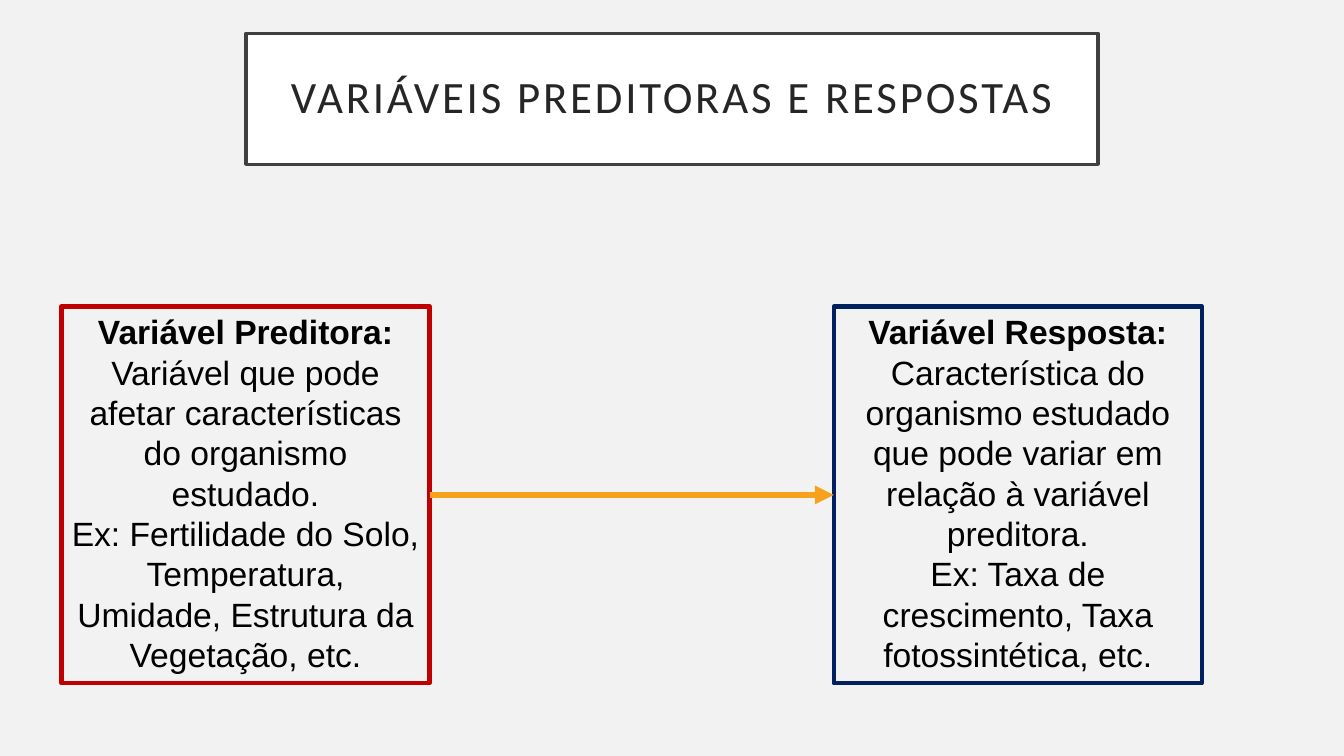
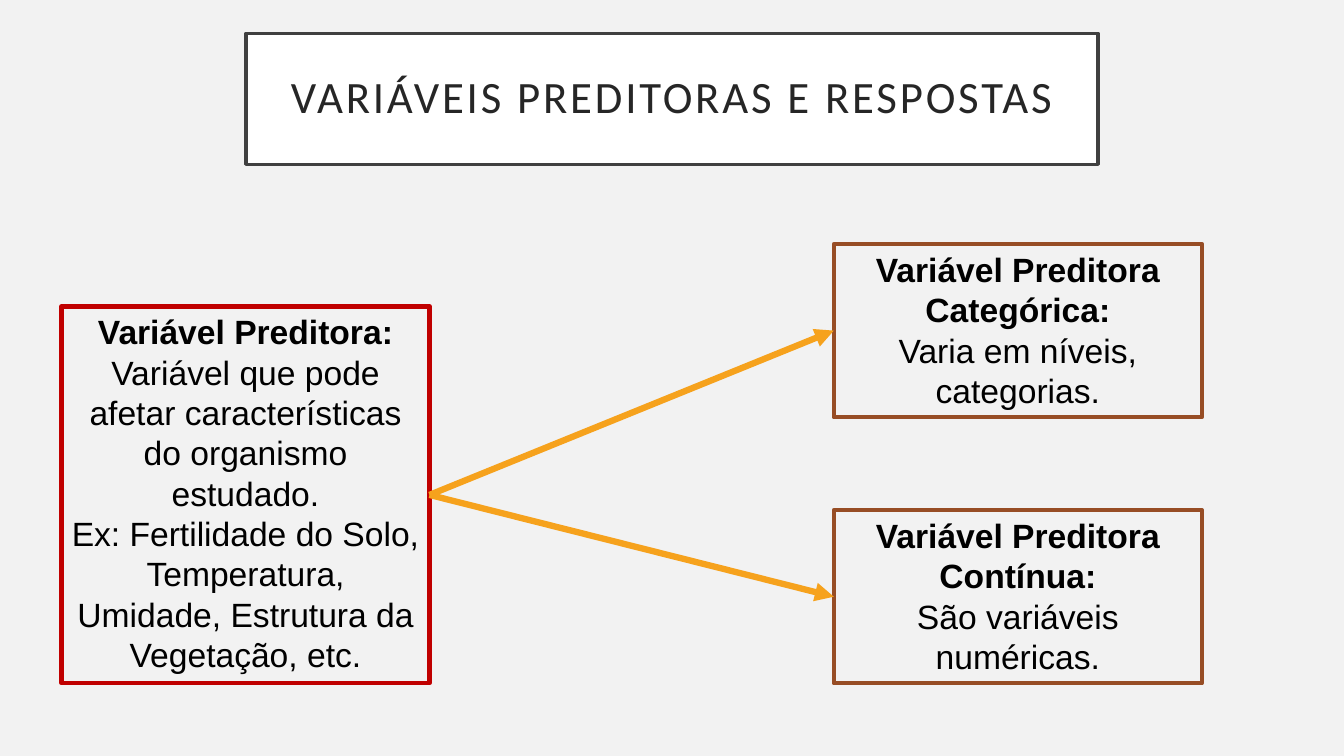
from dataclasses import dataclass
from typing import Optional

import lxml.etree
import pptx
import pptx.dml.color
import pptx.enum.shapes
import pptx.enum.text
import pptx.oxml.ns
import pptx.util
from pptx.util import Inches

# Shared look
BACKGROUND = "F2F2F2"
WHITE = "FFFFFF"
BLACK = "000000"
TITLE_BORDER = "404040"
TITLE_TEXT = "262626"
RED = "C00000"
NAVY = "002060"
BROWN = "974D25"
ORANGE = "F6A21D"

TITLE = "VARIÁVEIS PREDITORAS E RESPOSTAS"
BOX_WIDTH = 3.65
LEFT_COLUMN, RIGHT_COLUMN = 0.61, 8.27
TALL, SHORT = 3.74, 1.72
BOTTOM = 6.78
LEFT_SIDE, RIGHT_SIDE = 1, 3


@dataclass
class Box:
    left: float
    top: float
    height: float
    border: str
    heading: str
    lines: list[str]


def rgb(color: str) -> pptx.dml.color.RGBColor:
    return pptx.dml.color.RGBColor.from_string(color)


def set_line(line, color: str, width: float) -> None:
    line.color.rgb = rgb(color)
    line.width = pptx.util.Pt(width)


def add_child(parent, tag: str, **attributes: str):
    return lxml.etree.SubElement(parent, pptx.oxml.ns.qn(tag), **attributes)


def write(p, text: str, *, size: float = 24, font: str = "Arial",
          color: str = BLACK, bold: bool = False,
          line_spacing: Optional[float] = None, tracking: float = 0) -> None:
    """Fill one centred paragraph with formatted text."""
    p.alignment = pptx.enum.text.PP_ALIGN.CENTER
    if line_spacing:
        p.line_spacing = line_spacing
    r = p.add_run()
    r.text = text
    r.font.size = pptx.util.Pt(size)
    r.font.name = font
    r.font.bold = bold
    r.font.color.rgb = rgb(color)
    if tracking:
        r.font._element.set("spc", str(round(tracking * 100)))


def add_title(slide) -> None:
    sp = slide.shapes.title
    sp.left, sp.top = Inches(2.44), Inches(0.33)
    sp.width, sp.height = Inches(8.45), Inches(1.3)
    sp.fill.solid()
    sp.fill.fore_color.rgb = rgb(WHITE)
    set_line(sp.line, TITLE_BORDER, 2.5)
    tf = sp.text_frame
    tf.auto_size = pptx.enum.text.MSO_AUTO_SIZE.NONE
    tf.vertical_anchor = pptx.enum.text.MSO_ANCHOR.MIDDLE
    tf.margin_left = tf.margin_right = Inches(0.2)
    tf.margin_top = tf.margin_bottom = Inches(0.2)
    write(tf.paragraphs[0], TITLE, size=32, font="Calibri",
          color=TITLE_TEXT, line_spacing=0.9, tracking=2)


def add_box(slide, box: Box):
    sp = slide.shapes.add_textbox(Inches(box.left), Inches(box.top),
                                  Inches(BOX_WIDTH), Inches(box.height))
    set_line(sp.line, box.border, 3)
    add_child(sp.line._get_or_add_ln(), "a:round")
    tf = sp.text_frame
    tf.word_wrap = True
    tf.auto_size = pptx.enum.text.MSO_AUTO_SIZE.SHAPE_TO_FIT_TEXT
    write(tf.paragraphs[0], box.heading, bold=True)
    for text in box.lines:
        write(tf.add_paragraph(), text)
    return sp


def add_arrow(slide, source, target) -> None:
    cx = slide.shapes.add_connector(
        pptx.enum.shapes.MSO_CONNECTOR.STRAIGHT, 0, 0, 0, 0)
    cx.begin_connect(source, RIGHT_SIDE)
    cx.end_connect(target, LEFT_SIDE)
    set_line(cx.line, ORANGE, 4.5)
    add_child(cx.line._get_or_add_ln(), "a:tailEnd", type="triangle")
    add_child(cx._element.spPr, "a:effectLst")


def add_diagram(prs, source: Box, targets: list[Box]) -> None:
    """Add a slide with arrows from one box to each target box."""
    slide = prs.slides.add_slide(prs.slide_layouts.get_by_name("Title Only"))
    add_title(slide)
    origin = add_box(slide, source)
    for target in targets:
        add_arrow(slide, origin, add_box(slide, target))


# Content
PREDICTOR = Box(LEFT_COLUMN, BOTTOM - TALL, TALL, RED, "Variável Preditora:", [
    "Variável que pode afetar características do organismo estudado.",
    "Ex: Fertilidade do Solo, Temperatura, Umidade, Estrutura da Vegetação, etc.",
])
RESPONSE = Box(RIGHT_COLUMN, BOTTOM - TALL, TALL, NAVY, "Variável Resposta:", [
    "Característica do organismo estudado que pode variar em relação à variável preditora.",
    "Ex: Taxa de crescimento, Taxa fotossintética, etc.",
])
CATEGORICAL = Box(RIGHT_COLUMN, 2.42, SHORT, BROWN,
                  "Variável Preditora Categórica:", ["Varia em níveis, categorias."])
CONTINUOUS = Box(RIGHT_COLUMN, BOTTOM - SHORT, SHORT, BROWN,
                 "Variável Preditora Contínua:", ["São variáveis numéricas."])


def main() -> None:
    prs = pptx.Presentation()
    prs.slide_width, prs.slide_height = Inches(13.33), Inches(7.5)
    fill = prs.slide_master.background.fill
    fill.solid()
    fill.fore_color.rgb = rgb(BACKGROUND)

    add_diagram(prs, PREDICTOR, [RESPONSE])
    add_diagram(prs, PREDICTOR, [CATEGORICAL, CONTINUOUS])
    prs.save("out.pptx")


if __name__ == "__main__":
    main()
